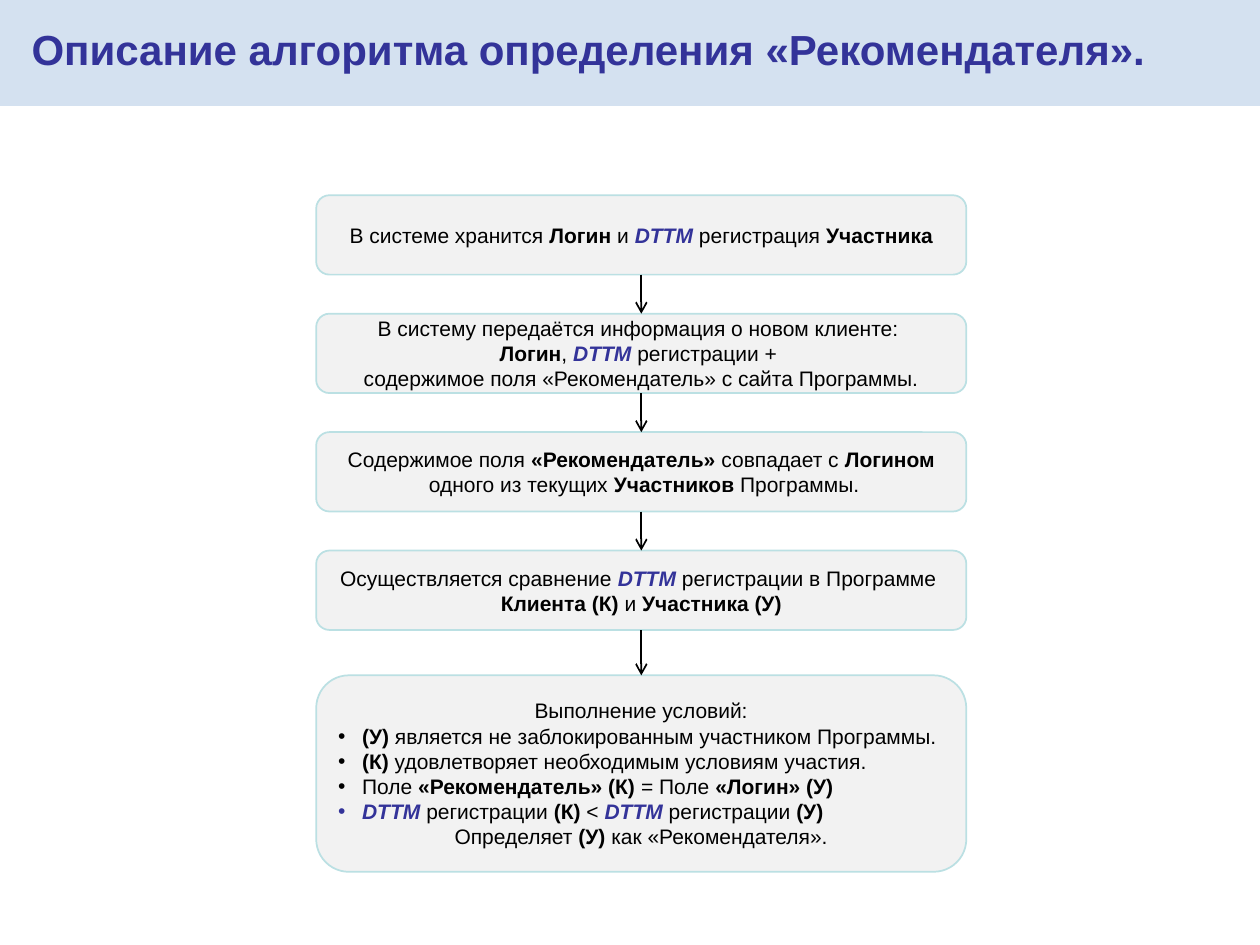
from dataclasses import dataclass
from itertools import pairwise

from pptx import Presentation
from pptx.dml.color import RGBColor
from pptx.enum.shapes import MSO_CONNECTOR, MSO_SHAPE
from pptx.enum.text import MSO_ANCHOR, MSO_AUTO_SIZE, PP_ALIGN
from pptx.oxml.ns import qn
from pptx.util import Inches, Pt
from lxml import etree

ROUND, RECT = MSO_SHAPE.ROUNDED_RECTANGLE, MSO_SHAPE.RECTANGLE
LINE = MSO_CONNECTOR.STRAIGHT
LEFT, CENTER = PP_ALIGN.LEFT, PP_ALIGN.CENTER
TOP, MIDDLE = MSO_ANCHOR.TOP, MSO_ANCHOR.MIDDLE
COLORS = {"band": "D4E1F0", "accent": "333399", "box": "F2F2F2",
          "edge": "BBE0E3", "text": "000000"}
BOX_X, BOX_W, BOX_H = 2.51, 5.16, 0.63
FIRST_Y, STEP = 1.55, 0.94
INDENT = 0.19


@dataclass
class Step:
    """A box; *stars* mark bold text and a leading • marks a list item."""
    top: float
    lines: list[str]
    height: float = BOX_H


def color(name: str) -> RGBColor:
    return RGBColor.from_string(COLORS[name])


def style(item, **values) -> None:
    for key, value in values.items():
        setattr(item, key, value)


def add_run(para, text: str, size: int, hue: str, bold: bool, slant: bool) -> None:
    run = para.add_run()
    run.text = text
    style(run.font, name="Arial", size=Pt(size), bold=bold, italic=slant)
    run.font.color.rgb = color(hue)


def add_bullet(para) -> None:
    props = para._p.get_or_add_pPr()
    props.set("marL", str(Inches(INDENT)))
    props.set("indent", str(-Inches(INDENT)))
    etree.SubElement(props, qn("a:buFont")).set("typeface", "Arial")
    etree.SubElement(props, qn("a:buChar")).set("char", "•")


def fill_line(para, line: str) -> None:
    listed = line.startswith("•")
    para.alignment = LEFT if listed else CENTER
    if listed:
        add_bullet(para)
    for i, part in enumerate(line.removeprefix("•").split("*")):
        if part:
            mark = "DTTM" in part
            add_run(para, part, 12, "accent" if mark else "text", i % 2 == 1, mark)


def add_box(slide, kind, place: tuple, fill: str):
    box = slide.shapes.add_shape(kind, *map(Inches, place))
    box.shadow.inherit = False
    box.fill.solid()
    box.fill.fore_color.rgb = color(fill)
    box.line.fill.background()
    return box


def add_step(slide, step: Step) -> None:
    box = add_box(slide, ROUND, (BOX_X, step.top, BOX_W, step.height), "box")
    box.line.color.rgb = color("edge")
    box.line.width = Pt(1)
    frame = box.text_frame
    style(frame, word_wrap=False, vertical_anchor=MIDDLE)
    for i, line in enumerate(step.lines):
        fill_line(frame.add_paragraph() if i else frame.paragraphs[0], line)


def add_arrow(slide, start: float, end: float) -> None:
    x = Inches(BOX_X + BOX_W / 2)
    arrow = slide.shapes.add_connector(LINE, x, Inches(start), x, Inches(end))
    arrow.line.color.rgb = color("text")
    arrow.line.width = Pt(1)
    etree.SubElement(arrow.line._get_or_add_ln(), qn("a:tailEnd")).set("type", "arrow")
    etree.SubElement(arrow._element.spPr, qn("a:effectLst"))


TEXTS = [
    ["В системе хранится *Логин* и *DTTM* регистрация *Участника*"],
    ["В систему передаётся информация о новом клиенте: ",
     "*Логин*, *DTTM *регистрации + ",
     "содержимое поля «Рекомендатель» с сайта Программы."],
    ["Содержимое поля *«Рекомендатель»* совпадает с *Логином*",
     " одного из текущих *Участников* Программы."],
    ["Осуществляется сравнение *DTTM* регистрации в Программе ",
     "*Клиента (К)* и *Участника (У)*"],
]
RESULT = [
    "Выполнение условий:",
    "•*(У)* является не заблокированным участником Программы.",
    "•*(К)* удовлетворяет необходимым условиям участия.",
    "•Поле *«Рекомендатель» (К)* = Поле *«Логин» (У)*",
    "•*DTTM* регистрации *(К) *< *DTTM *регистрации *(У)*",
    "Определяет *(У)* как «Рекомендателя».",
]
steps = [Step(FIRST_Y + i * STEP, lines) for i, lines in enumerate(TEXTS)]
steps.append(Step(5.36, RESULT, 1.56))

deck = Presentation()
style(deck, slide_width=Inches(10), slide_height=Inches(7.5))
slide = deck.slides.add_slide(deck.slide_layouts[5])

# Header band, kept behind the title
band = add_box(slide, RECT, (0, 0, 10, 0.84), "band")
slide.shapes._spTree.insert(2, band._element)

# Title
title = slide.shapes.title
style(title, left=Inches(0.15), top=Inches(0.14), width=Inches(9.35), height=Inches(0.82))
style(title.text_frame, word_wrap=True, vertical_anchor=TOP, auto_size=MSO_AUTO_SIZE.NONE)
head = title.text_frame.paragraphs[0]
style(head, alignment=LEFT, space_before=Pt(2.4))
add_run(head, "Описание алгоритма определения «Рекомендателя».", 24, "accent", True, False)

# Steps and the arrows between them
for step in steps:
    add_step(slide, step)
for one, two in pairwise(steps):
    add_arrow(slide, one.top + one.height, two.top)

deck.save("out.pptx")
